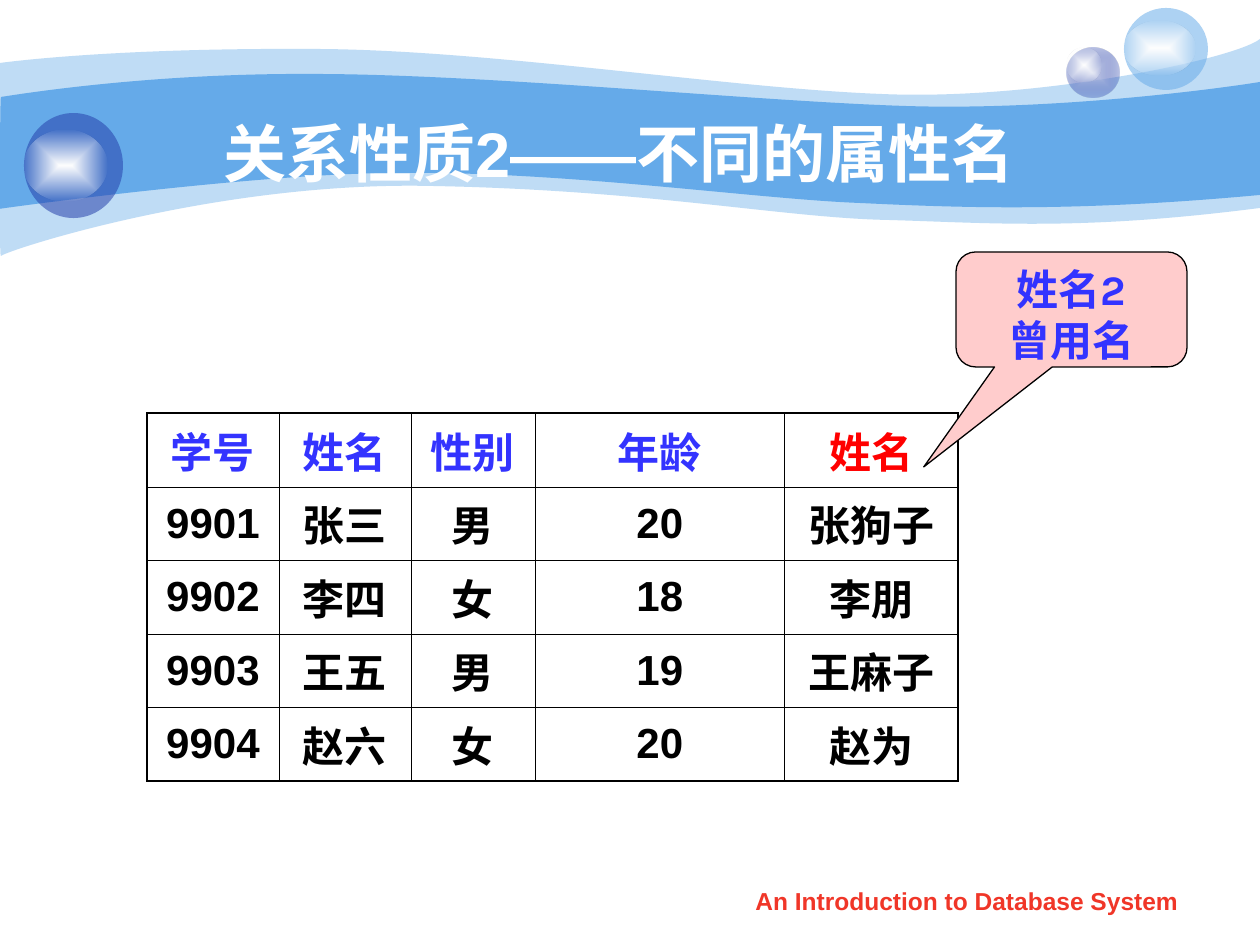
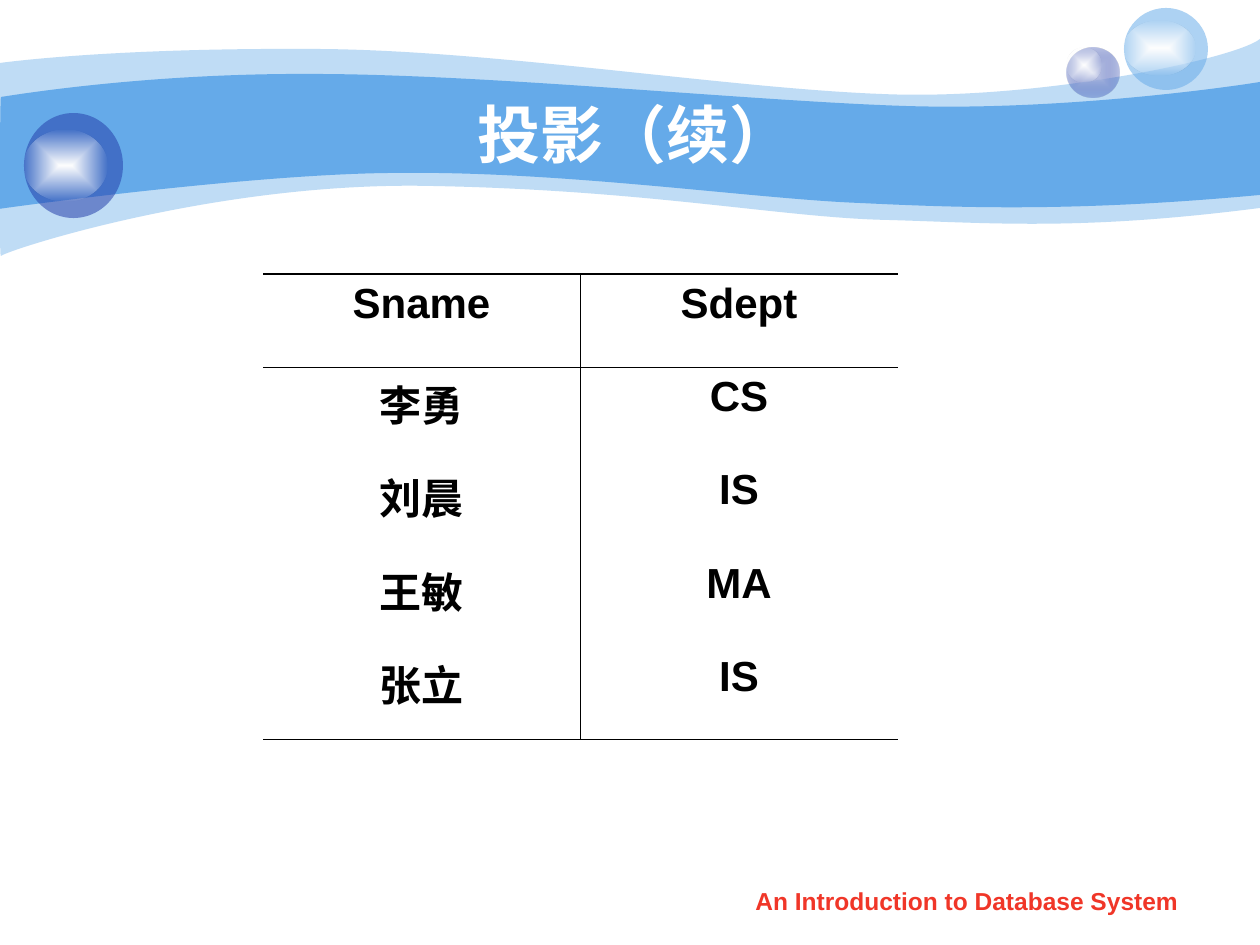
from lxml.etree import SubElement
from pptx import Presentation
from pptx.dml.color import RGBColor
from pptx.enum.shapes import MSO_SHAPE
from pptx.enum.text import MSO_ANCHOR, PP_ALIGN
from pptx.oxml.ns import qn
from pptx.util import Emu, Pt

EMU_PER_PX = 914400 / 126
COLORS = {
    "sky": "65AAE9", "navy": "233DA9", "lavender": "C7CEE9", "white": "FFFFFF",
    "black": "000000", "blue": "3333FF", "red": "FF0000", "footer": "F03628", "pink": "FFCCCC",
}
THICK, THIN, NONE = 1.08, 0.45, 0


def px(*lengths):
    return [Emu(round(length * EMU_PER_PX)) for length in lengths]


def write(paragraph, text, size, color, font="Arial"):
    paragraph.text = text
    paragraph.alignment = PP_ALIGN.CENTER
    paragraph.font.size = Pt(size)
    paragraph.font.bold = True
    paragraph.font.name = font
    paragraph.font.color.rgb = RGBColor.from_string(COLORS[color])


ribbons = [
    (41, (0, 63), [
        [(30, 59), (135, 48), (311, 49)],
        [(486, 49), (724, 88), (881, 94)],
        [(1036, 101), (1235, 59), (1260, 39)],
        [(1260, 208)],
        [(1081, 231), (992, 223), (888, 220)],
        [(784, 218), (649, 190), (432, 186)],
        [(217, 181), (5, 251), (1, 256)],
        [(-1, 262), (0, 94), (0, 63)],
    ]),
    (100, (1, 97), [
        [(3, 97), (139, 73), (312, 74)],
        [(486, 74), (750, 101), (905, 106)],
        [(1060, 111), (1230, 87), (1260, 82)],
        [(1260, 195)],
        [(1075, 212), (964, 208), (859, 203)],
        [(755, 199), (563, 171), (399, 173)],
        [(256, 173), (-3, 209), (-1, 209)],
        [(0, 209), (0, 97), (1, 97)],
    ]),
]

glow = [("white", 100), ("white", 0)]
bubbles = [
    ((1067, 48, 53, 50), [("lavender", 100), ("navy", 31)]),
    ((1067, 48, 35, 34), glow),
    ((1124, 8, 84, 82), [("sky", 53)]),
    ((1124, 21, 71, 54), glow),
    ((24, 113, 99, 105), [("navy", 53)]),
    ((24, 130, 83, 71), glow),
]

pages = [
    {
        "title": "关系性质2——不同的属性名",
        "title_box": (84, 73, 1071, 158),
        "table_at": (147, 413),
        "columns": (132, 132, 124, 250, 173),
        "row_heights": (74, 73, 74, 73, 74),
        "anchor": MSO_ANCHOR.MIDDLE,
        "vertical_rules": [THICK, THIN, THIN, THIN, THIN, THICK],
        "horizontal_rules": [THICK, THIN, THIN, THIN, THIN, THICK],
        "header_colors": ["blue"] * 4 + ["red"],
        "rows": [
            ("学号", "姓名", "性别", "年龄", "姓名"),
            ("9901", "张三", "男", "20", "张狗子"),
            ("9902", "李四", "女", "18", "李朋"),
            ("9903", "王五", "男", "19", "王麻子"),
            ("9904", "赵六", "女", "20", "赵为"),
        ],
    },
    {
        "title": "投影（续）",
        "title_box": (126, 94, 1018, 78),
        "table_at": (263, 274),
        "columns": (317, 318),
        "row_heights": (93, 93, 94, 93, 93),
        "anchor": MSO_ANCHOR.TOP,
        "vertical_rules": [NONE, THIN, NONE],
        "horizontal_rules": [THICK, THIN, NONE, NONE, NONE, THIN],
        "header_colors": ["black"] * 2,
        "rows": [("Sname", "Sdept"), ("李勇", "CS"), ("刘晨", "IS"), ("王敏", "MA"), ("张立", "IS")],
    },
]

presentation = Presentation()
presentation.slide_width, presentation.slide_height = px(1260, 945)

for page in pages:
    slide = presentation.slides.add_slide(presentation.slide_layouts[6])
    decorations = []

    for opacity, start, segments in ribbons:
        builder = slide.shapes.build_freeform(*px(*start), scale=1.0)
        builder.add_line_segments([px(*point) for segment in segments for point in segment], close=True)
        shape = builder.convert_to_shape()
        lines = iter(list(shape._element.iter(qn("a:lnTo"))))
        for segment in segments:
            command = next(lines)
            if len(segment) == 3:
                curve = command.makeelement(qn("a:cubicBezTo"))
                command.addprevious(curve)
                for line in (command, next(lines), next(lines)):
                    curve.append(line[0])
                    line.getparent().remove(line)
        decorations.append((shape, [("sky", opacity)]))

    for box, stops in bubbles:
        decorations.append((slide.shapes.add_shape(MSO_SHAPE.OVAL, *px(*box)), stops))

    for shape, stops in decorations:
        shape.shadow.inherit = False
        shape.line.fill.background()
        if len(stops) == 1:
            shape.fill.solid()
            shape.fill.fore_color.rgb = RGBColor.from_string(COLORS[stops[0][0]])
            color_elements = [shape.fill._xPr.find(qn("a:solidFill"))[0]]
        else:
            shape.fill.gradient()
            gradient = shape.fill._xPr.find(qn("a:gradFill"))
            for child in list(gradient):
                gradient.remove(child)
            stop_list = SubElement(gradient, qn("a:gsLst"))
            color_elements = []
            for position, (color, _) in zip(("0", "100000"), stops):
                stop = SubElement(stop_list, qn("a:gs"), pos=position)
                color_elements.append(SubElement(stop, qn("a:srgbClr"), val=COLORS[color]))
            spread = SubElement(gradient, qn("a:path"), path="rect")
            SubElement(spread, qn("a:fillToRect"), {side: "50000" for side in "ltrb"})
        for element, (_, opacity) in zip(color_elements, stops):
            if opacity < 100:
                SubElement(element, qn("a:alpha"), val=str(opacity * 1000))

    for box, text, size, color, anchor in [
        ((719, 880, 496, 44), "An Introduction to Database System", 14, "footer", MSO_ANCHOR.TOP),
        (page["title_box"], page["title"], 36, "white", MSO_ANCHOR.MIDDLE),
    ]:
        frame = slide.shapes.add_textbox(*px(*box)).text_frame
        frame.word_wrap = True
        frame.vertical_anchor = anchor
        write(frame.paragraphs[0], text, size, color)

    rows, columns, row_heights = page["rows"], page["columns"], page["row_heights"]
    table_box = px(*page["table_at"], sum(columns), sum(row_heights))
    table = slide.shapes.add_table(len(rows), len(columns), *table_box).table
    table.first_row = table.horz_banding = False
    for column, width in zip(table.columns, px(*columns)):
        column.width = width
    for table_row, height in zip(table.rows, px(*row_heights)):
        table_row.height = height
    for row_index, row in enumerate(rows):
        for column_index, text in enumerate(row):
            cell = table.cell(row_index, column_index)
            cell.vertical_anchor = page["anchor"]
            color = "black" if row_index else page["header_colors"][column_index]
            write(cell.text_frame.paragraphs[0], text, 24, color)
            cell_properties = cell._tc.get_or_add_tcPr()
            for tag, rule in [
                ("a:lnL", page["vertical_rules"][column_index]),
                ("a:lnR", page["vertical_rules"][column_index + 1]),
                ("a:lnT", page["horizontal_rules"][row_index]),
                ("a:lnB", page["horizontal_rules"][row_index + 1]),
            ]:
                border = SubElement(cell_properties, qn(tag), w=str(Pt(rule)))
                if rule:
                    SubElement(SubElement(border, qn("a:solidFill")), qn("a:srgbClr"), val=COLORS["black"])
                else:
                    SubElement(border, qn("a:noFill"))
            cell.fill.background()

callout = presentation.slides[0].shapes.add_shape(MSO_SHAPE.ROUNDED_RECTANGULAR_CALLOUT, *px(956, 252, 231, 115))
callout.shadow.inherit = False
for index, adjustment in enumerate((-0.64, 1.37, 0.17)):
    callout.adjustments[index] = adjustment
callout.fill.solid()
callout.fill.fore_color.rgb = RGBColor.from_string(COLORS["pink"])
callout.line.color.rgb = RGBColor.from_string(COLORS["black"])
callout.line.width = Pt(0.75)
frame = callout.text_frame
frame.vertical_anchor = MSO_ANCHOR.TOP
write(frame.paragraphs[0], "姓名2", 24, "blue", "Karla")
write(frame.add_paragraph(), "曾用名", 24, "blue", "Karla")

presentation.save("out.pptx")
